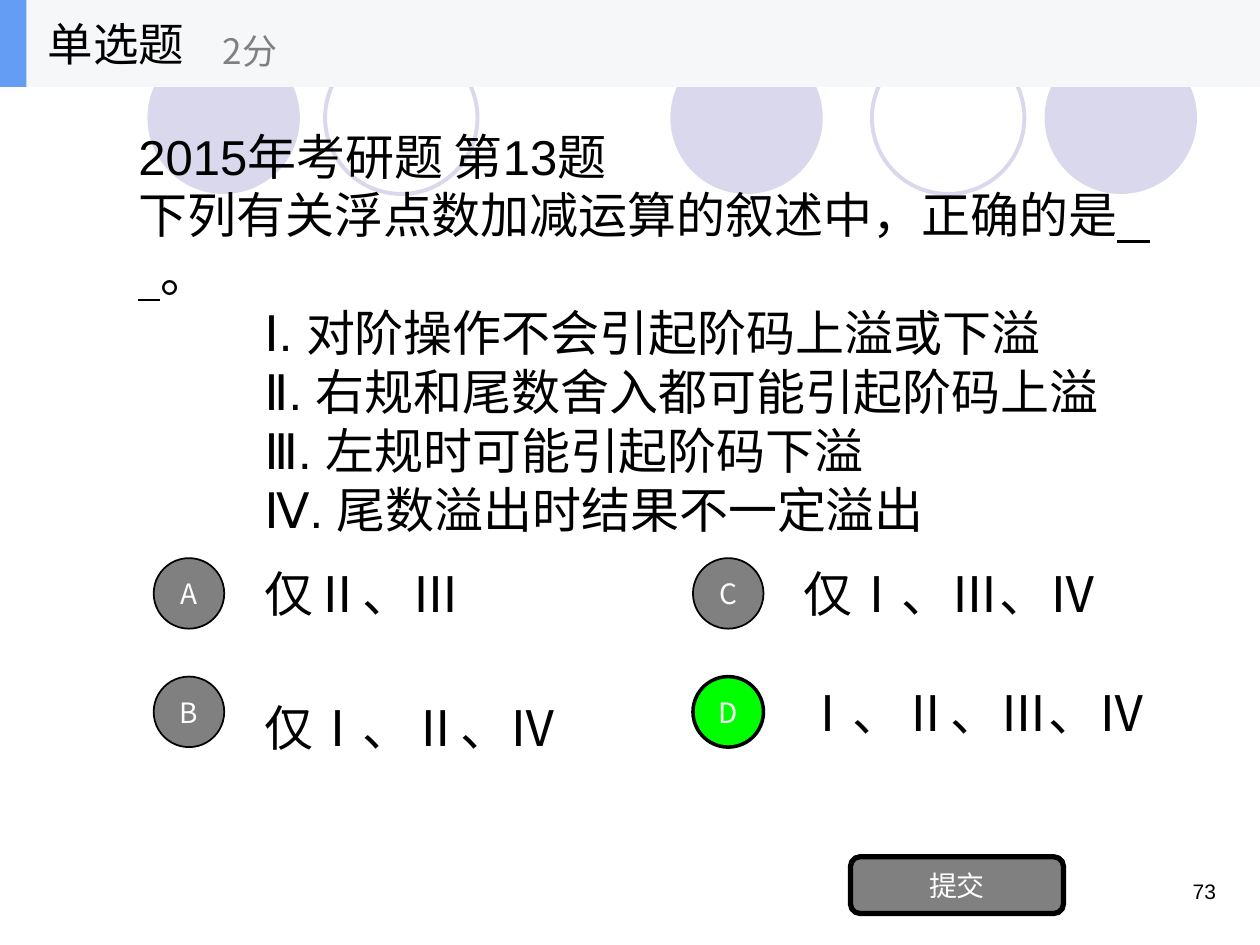
import pptx
import pptx.dml.color
import pptx.enum.shapes
import pptx.enum.text
import pptx.oxml.ns
import pptx.util
from lxml import etree

Inches = pptx.util.Inches
Pt = pptx.util.Pt
RGBColor = pptx.dml.color.RGBColor
Shape = pptx.enum.shapes.MSO_SHAPE
Align = pptx.enum.text.PP_ALIGN
Anchor = pptx.enum.text.MSO_ANCHOR
qn = pptx.oxml.ns.qn

BLACK = RGBColor(0x00, 0x00, 0x00)
WHITE = RGBColor(0xFF, 0xFF, 0xFF)
GRAY = RGBColor(0x80, 0x80, 0x80)
GREEN = RGBColor(0x00, 0xFF, 0x00)
LAVENDER = RGBColor(0xD9, 0xD8, 0xEC)
BAND = RGBColor(0xF6, 0xF7, 0xF8)
BLUE = RGBColor(0x63, 0x9E, 0xF4)
LATIN = "Arial"
CJK = "Noto Sans CJK SC"


class QuizPage:
    def __init__(self, deck):
        self.page = deck.slides.add_slide(deck.slide_layouts[6])

    def shape(self, kind, left, top, width, height, fill=None, line=None, weight=1):
        shape = self.page.shapes.add_shape(
            kind, Inches(left), Inches(top), Inches(width), Inches(height))
        shape.shadow.inherit = False
        if fill is None:
            shape.fill.background()
        else:
            shape.fill.solid()
            shape.fill.fore_color.rgb = fill
        if line is None:
            shape.line.fill.background()
        else:
            shape.line.color.rgb = line
            shape.line.width = Pt(weight)
        return shape

    def fill_text(self, frame, lines, size=28, font=LATIN, color=BLACK,
                  align=Align.LEFT, anchor=Anchor.MIDDLE, spacing=None):
        frame.word_wrap = True
        frame.vertical_anchor = anchor
        for index, line in enumerate(lines):
            para = frame.paragraphs[0] if index == 0 else frame.add_paragraph()
            for text, underlined in [(line, False)] if isinstance(line, str) else line:
                span = para.add_run()
                span.text = text
                if underlined:
                    span.font.underline = True
            para.alignment = align
            if spacing:
                para.line_spacing = spacing
            properties = para._p.get_or_add_pPr()
            tabs = etree.SubElement(properties, qn("a:tabLst"))
            etree.SubElement(tabs, qn("a:tab"), pos=str(Inches(1)), algn="l")
            para.font.size = Pt(size)
            para.font.name = font
            para.font.color.rgb = color
            etree.SubElement(properties.find(qn("a:defRPr")), qn("a:ea"), typeface=CJK)

    def text(self, left, top, width, height, lines, **style):
        box = self.page.shapes.add_textbox(
            Inches(left), Inches(top), Inches(width), Inches(height))
        self.fill_text(box.text_frame, lines, **style)

    def button(self, kind, left, top, width, height, label, fill=GRAY, weight=1):
        shape = self.shape(kind, left, top, width, height, fill, BLACK, weight)
        self.fill_text(shape.text_frame, [label], size=16, font=CJK, color=WHITE,
                       align=Align.CENTER)

    def option(self, left, top, letter, answer, width, correct=False, spacing=None):
        self.text(left + 0.78, top - 0.07, width, 0.7, [answer], spacing=spacing)
        self.button(Shape.OVAL, left, top, 0.56, 0.56, letter,
                    GREEN if correct else GRAY, 2 if correct else 1)


def main():
    deck = pptx.Presentation()
    deck.slide_width = Inches(10)
    deck.slide_height = Inches(7.5)
    quiz = QuizPage(deck)

    for left in (1.17, 5.32, 8.29):
        quiz.shape(Shape.OVAL, left, 0.33, 1.21, 1.21, fill=LAVENDER)
    for left in (2.58, 6.92):
        quiz.shape(Shape.OVAL, left, 0.33, 1.21, 1.21, line=LAVENDER, weight=2.25)

    quiz.text(7.42, 6.92, 2.33, 0.5, ["73"], size=12, align=Align.RIGHT,
              anchor=Anchor.TOP)
    quiz.text(1, 0.69, 8.28, 3.89, [
        "2015年考研题 第13题",
        [("下列有关浮点数加减运算的叙述中，正确的是", False),
         ("      ", True), ("。", False)],
        "\tⅠ. 对阶操作不会引起阶码上溢或下溢",
        "\tⅡ. 右规和尾数舍入都可能引起阶码上溢",
        "\tⅢ. 左规时可能引起阶码下溢",
        "\tⅣ. 尾数溢出时结果不一定溢出",
    ])

    quiz.option(1.22, 4.43, "A", "仅Ⅱ、Ⅲ", 2.53)
    quiz.option(1.22, 5.37, "B", "仅Ⅰ、Ⅱ、Ⅳ", 2.76, spacing=1.5)
    quiz.option(5.5, 4.43, "C", "仅Ⅰ、Ⅲ、Ⅳ", 3)
    quiz.option(5.5, 5.37, "D", "Ⅰ、Ⅱ、Ⅲ、Ⅳ", 3.5, correct=True)
    quiz.button(Shape.ROUNDED_RECTANGLE, 6.75, 6.8, 1.69, 0.45, "提交", weight=3)

    quiz.shape(Shape.RECTANGLE, 0, 0, 10, 0.69, fill=BAND)
    quiz.shape(Shape.RECTANGLE, 0, 0, 0.21, 0.69, fill=BLUE)
    quiz.text(0.28, 0, 2.08, 0.69, ["单选题"], size=26, font=CJK)
    quiz.text(1.67, 0.12, 2.5, 0.56, ["2分"], size=20, font=CJK, color=GRAY)

    deck.save("out.pptx")


if __name__ == "__main__":
    main()
